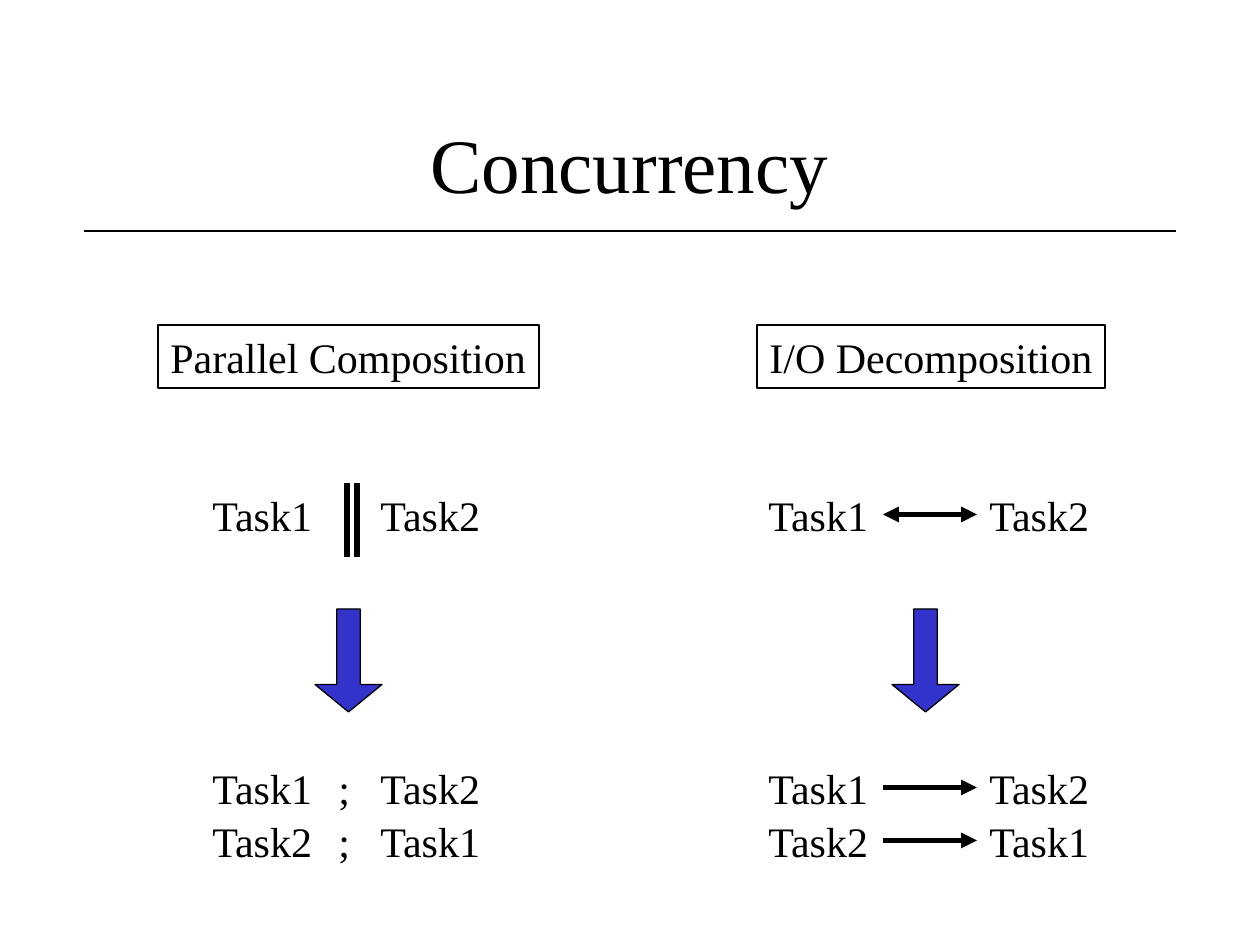
from lxml import etree
from pptx import Presentation
from pptx.dml.color import RGBColor
from pptx.enum.shapes import MSO_CONNECTOR, MSO_SHAPE
from pptx.enum.text import MSO_ANCHOR, MSO_AUTO_SIZE, PP_ALIGN
from pptx.oxml.ns import qn
from pptx.util import Emu, Pt

STRAIGHT = MSO_CONNECTOR.STRAIGHT
RECTANGLE, DOWN_ARROW = MSO_SHAPE.RECTANGLE, MSO_SHAPE.DOWN_ARROW
TOP, MIDDLE = MSO_ANCHOR.TOP, MSO_ANCHOR.MIDDLE
LEFT, CENTER = PP_ALIGN.LEFT, PP_ALIGN.CENTER
FIT_SHAPE, FIT_NONE = MSO_AUTO_SIZE.SHAPE_TO_FIT_TEXT, MSO_AUTO_SIZE.NONE
LEFT_SIDE, RIGHT_SIDE = 1, 3

EMU_PER_PX = 914400 / 126
COLORS = {"ink": "000000", "arrow": "3333CC"}
THIN, THICK = 0.75, 3

ROW_HEIGHT, TASK_WIDTH = 63, 127
NOTATION_TOP = 483
RESULTS = [(756, "Task1", "Task2"), (809, "Task2", "Task1")]


def px(*lengths):
    return [Emu(round(length * EMU_PER_PX)) for length in lengths]


class Board:
    """Holds the style and the slide being drawn."""

    font = "Times New Roman"
    title_size, text_size = 44, 24

    def __init__(self, slide):
        self.slide = slide

    def color(self, name):
        return RGBColor.from_string(COLORS[name])

    def outline(self, item, width):
        item.line.color.rgb = self.color("ink")
        item.line.width = Pt(width)

    def set_text(self, item, text, size, align=LEFT, anchor=TOP):
        frame = item.text_frame
        frame.text = text
        frame.vertical_anchor = anchor
        paragraph = frame.paragraphs[0]
        paragraph.alignment = align
        paragraph.font.name = self.font
        paragraph.font.size = Pt(size)
        paragraph.font.color.rgb = self.color("ink")
        return frame

    def set_fitted_text(self, item, text):
        frame = self.set_text(item, text, self.text_size)
        frame.word_wrap = False
        frame.auto_size = FIT_SHAPE

    def title(self, text, *box):
        title = self.slide.shapes.title
        title.left, title.top, title.width, title.height = px(*box)
        frame = self.set_text(title, text, self.title_size, CENTER, MIDDLE)
        frame.auto_size = FIT_NONE

    def label(self, text, left, top, width):
        label = self.slide.shapes.add_textbox(*px(left, top, width, ROW_HEIGHT))
        self.set_fitted_text(label, text)
        return label

    def heading(self, text, left, top, width):
        heading = self.slide.shapes.add_shape(
            RECTANGLE, *px(left, top, width, ROW_HEIGHT))
        heading.shadow.inherit = False
        heading.fill.background()
        self.outline(heading, THIN)
        self.set_fitted_text(heading, text)

    def down_arrow(self, left, top, width, height):
        arrow = self.slide.shapes.add_shape(
            DOWN_ARROW, *px(left, top, width, height))
        arrow.shadow.inherit = False
        arrow.adjustments[0], arrow.adjustments[1] = 0.35, 0.41
        arrow.fill.solid()
        arrow.fill.fore_color.rgb = self.color("arrow")
        self.outline(arrow, THIN)

    def line(self, x1, y1, x2, y2, width):
        line = self.slide.shapes.add_connector(STRAIGHT, *px(x1, y1, x2, y2))
        self.outline(line, width)
        etree.SubElement(line._element.spPr, qn("a:effectLst"))
        return line

    def link(self, target, source, ends):
        """Join two labels by a line with arrowheads at the given ends."""
        link = self.line(0, 0, 0, 0, THICK)
        link.begin_connect(target, LEFT_SIDE)
        link.end_connect(source, RIGHT_SIDE)
        stroke = link._element.spPr.find(qn("a:ln"))
        for end in ends:
            etree.SubElement(stroke, qn(end), type="triangle")

    def task_pair(self, first, second, lefts, top):
        return [self.label(task, left, top, TASK_WIDTH)
                for task, left in zip((first, second), lefts)]


def main():
    presentation = Presentation()
    presentation.slide_width, presentation.slide_height = px(1260, 945)
    title_only = presentation.slide_layouts[5]
    board = Board(presentation.slides.add_slide(title_only))

    # Title and rule
    board.title("Concurrency", 94, 84, 1071, 158)
    board.line(84, 231, 1176, 231, THIN)

    # Parallel composition: either order of the tasks
    parallel_lefts = (200, 368)
    board.heading("Parallel Composition", 158, 325, 381)
    board.task_pair("Task1", "Task2", parallel_lefts, NOTATION_TOP)
    for bar_x in (347, 357):
        board.line(bar_x, NOTATION_TOP, bar_x, 557, THICK)
    for top, first, second in RESULTS:
        board.task_pair(first, second, parallel_lefts, top)
        board.label(";", 326, top, 37)

    # I/O decomposition: either direction of flow
    flow_lefts = (756, 977)
    board.heading("I/O Decomposition", 757, 325, 348)
    source, target = board.task_pair("Task1", "Task2", flow_lefts, NOTATION_TOP)
    board.link(target, source, ("a:headEnd", "a:tailEnd"))
    for top, first, second in RESULTS:
        source, target = board.task_pair(first, second, flow_lefts, top)
        board.link(target, source, ("a:headEnd",))

    # Step from notation to results
    for left in (315, 892):
        board.down_arrow(left, 609, 67, 103)

    presentation.save("out.pptx")


if __name__ == "__main__":
    main()
